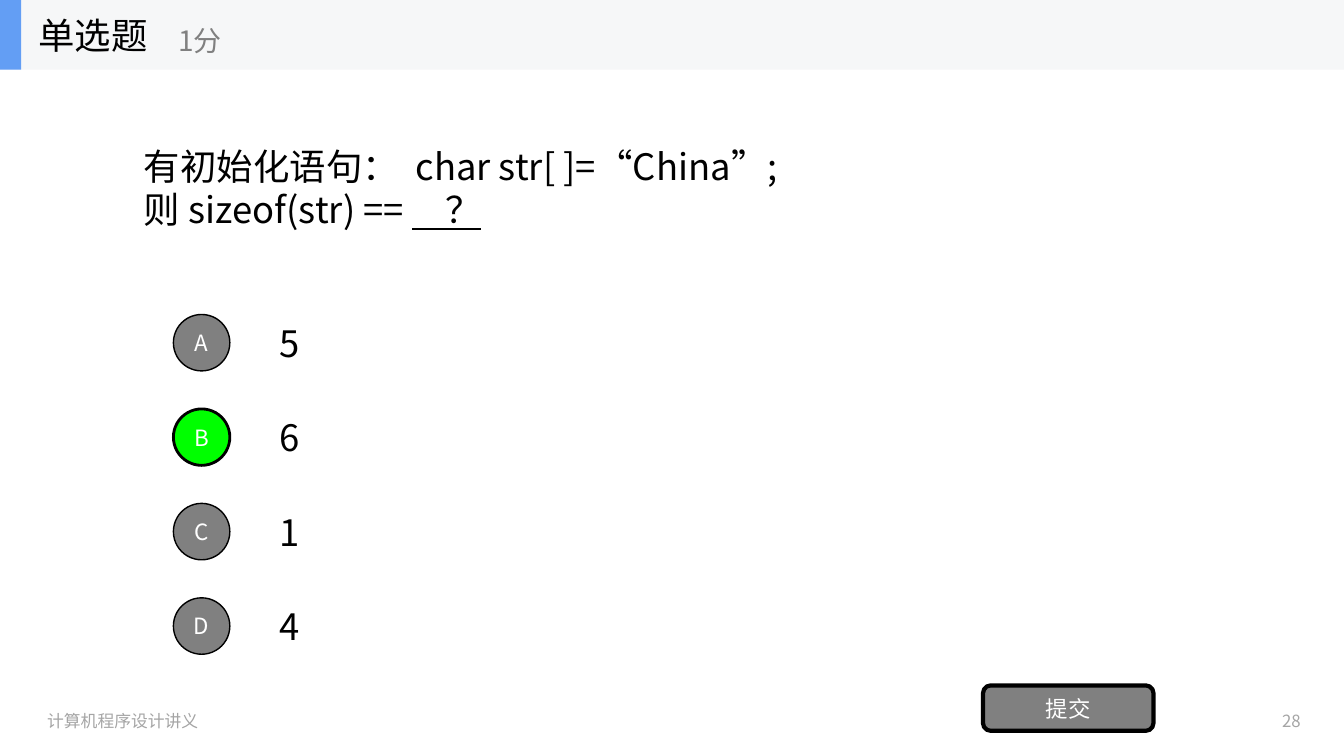
import pptx
import pptx.util
import pptx.dml.color
import pptx.enum.shapes
import pptx.enum.text
import pptx.oxml.ns
import lxml.etree

Inches = pptx.util.Inches
RGBColor = pptx.dml.color.RGBColor
Shape = pptx.enum.shapes.MSO_SHAPE
Align = pptx.enum.text.PP_ALIGN

FONT = "Noto Sans CJK SC"
BLACK = RGBColor(0x00, 0x00, 0x00)
WHITE = RGBColor(0xFF, 0xFF, 0xFF)
GRAY = RGBColor(0x80, 0x80, 0x80)
FOOTER_GRAY = RGBColor(0xA5, 0xA5, 0xA5)
GREEN = RGBColor(0x00, 0xFF, 0x00)
BAND = RGBColor(0xF6, 0xF7, 0xF8)
BLUE = RGBColor(0x63, 0x9E, 0xF4)

TITLE = "单选题"
SCORE = "1分"
# Each line is a list of (text, underlined) runs.
QUESTION = [
    [("有初始化语句：  char str[ ]=“China”;", False)],
    [("则 sizeof(str) == ", False), ("    ？", True)],
]
OPTIONS = [("A", "5"), ("B", "6"), ("C", "1"), ("D", "4")]
ANSWER = "B"
SUBMIT = "提交"
FOOTER = "计算机程序设计讲义"
PAGE_NUMBER = "28"

SLIDE_WIDTH, SLIDE_HEIGHT = 13.33, 7.5
HEADER_HEIGHT = 0.69
OPTION_TOP, OPTION_STEP, OPTION_HEIGHT = 3.05, 0.937, 0.7
CIRCLE = 0.56


def write(shape, lines, size, color, align=Align.LEFT, wrap=True):
    frame = shape.text_frame
    frame.word_wrap = wrap
    frame.auto_size = pptx.enum.text.MSO_AUTO_SIZE.NONE
    frame.vertical_anchor = pptx.enum.text.MSO_ANCHOR.MIDDLE
    for index, runs in enumerate(lines):
        paragraph = frame.add_paragraph() if index else frame.paragraphs[0]
        paragraph.alignment = align
        font = paragraph.font
        font.name = FONT
        font.size = pptx.util.Pt(size)
        font.color.rgb = color
        properties = paragraph._p.pPr.find(pptx.oxml.ns.qn("a:defRPr"))
        east_asian = lxml.etree.SubElement(properties, pptx.oxml.ns.qn("a:ea"))
        east_asian.set("typeface", FONT)
        for text, underlined in runs:
            run = paragraph.add_run()
            run.text = text
            if underlined:
                run.font.underline = True


def add_label(slide, box, text, size, color, **options):
    label = slide.shapes.add_textbox(*map(Inches, box))
    write(label, [[(text, False)]], size, color, **options)


def add_block(slide, kind, box, fill, line_width=0, text=None):
    block = slide.shapes.add_shape(kind, *map(Inches, box))
    block.shadow.inherit = False
    block.fill.solid()
    block.fill.fore_color.rgb = fill
    if line_width:
        block.line.color.rgb = BLACK
        block.line.width = pptx.util.Pt(line_width)
    else:
        block.line.fill.background()
    if text:
        write(block, [[(text, False)]], 16, WHITE, align=Align.CENTER, wrap=False)


def add_header(slide):
    add_block(slide, Shape.RECTANGLE, (0, 0, SLIDE_WIDTH, HEADER_HEIGHT), BAND)
    add_block(slide, Shape.RECTANGLE, (0, 0, 0.21, HEADER_HEIGHT), BLUE)
    title = slide.shapes.title
    title.left, title.top = Inches(0.28), Inches(0)
    title.width, title.height = Inches(2.08), Inches(HEADER_HEIGHT)
    write(title, [[(TITLE, False)]], 26, BLACK, wrap=False)
    slide.shapes._spTree.append(title._element)  # in front of the band
    add_label(slide, (1.67, 0.12, 2.5, 0.56), SCORE, 20, GRAY, wrap=False)


def add_options(slide):
    for index, (letter, value) in enumerate(OPTIONS):
        top = OPTION_TOP + index * OPTION_STEP
        add_label(slide, (2.67, top, 9.33, OPTION_HEIGHT), value, 26, BLACK)
        correct = letter == ANSWER
        circle_top = top + (OPTION_HEIGHT - CIRCLE) / 2
        add_block(slide, Shape.OVAL, (1.72, circle_top, CIRCLE, CIRCLE),
                  GREEN if correct else GRAY, 2 if correct else 1, letter)


def main():
    presentation = pptx.Presentation()
    presentation.slide_width = Inches(SLIDE_WIDTH)
    presentation.slide_height = Inches(SLIDE_HEIGHT)
    slide = presentation.slides.add_slide(presentation.slide_layouts[5])

    add_header(slide)
    question = slide.shapes.add_textbox(*map(Inches, (1.33, 0.69, 10.67, 2.34)))
    write(question, QUESTION, 26, BLACK)
    add_options(slide)
    add_block(slide, Shape.ROUNDED_RECTANGLE, (9.75, 6.8, 1.69, 0.45), GRAY, 3, SUBMIT)
    add_label(slide, (0.37, 6.95, 4.5, 0.4), FOOTER, 12, FOOTER_GRAY)
    add_label(slide, (12.19, 6.95, 0.81, 0.4), PAGE_NUMBER, 12, FOOTER_GRAY,
              align=Align.RIGHT)
    presentation.save("out.pptx")


if __name__ == "__main__":
    main()
